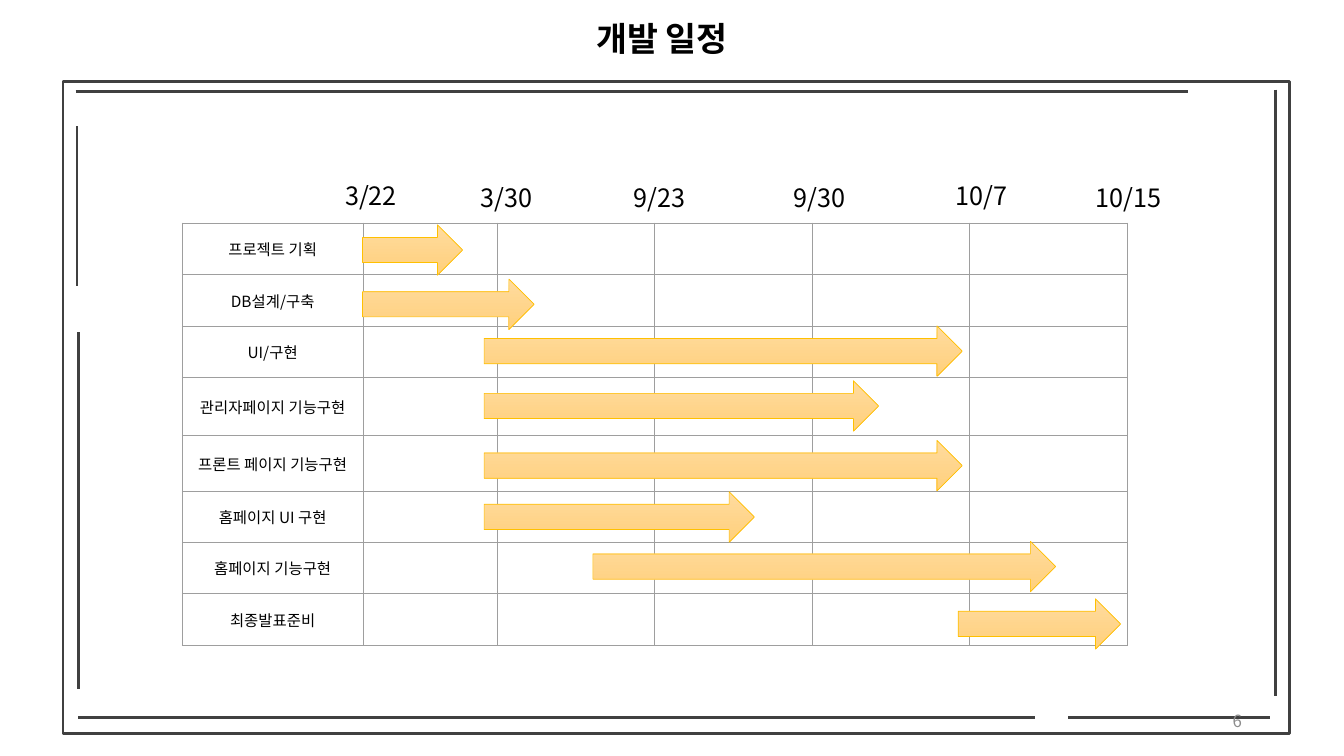
from lxml import etree
from pptx import Presentation
from pptx.dml.color import RGBColor
from pptx.enum import shapes, text
from pptx.oxml import ns
from pptx.util import Pt

FONT = "Noto Sans CJK KR"
BLACK = RGBColor(0, 0, 0)
GRAY = RGBColor(0x8C, 0x8C, 0x8C)
FRAME = RGBColor(0x40, 0x40, 0x40)
GRID = RGBColor(0x9E, 0x9E, 0x9E)
GOLD = RGBColor(0xFF, 0xC0, 0x00)
ARROW_TOP = RGBColor(0xFF, 0xDB, 0x9E)
ARROW_BOTTOM = RGBColor(0xFF, 0xD0, 0x7C)

# Content
TITLE = "개발 일정"
PAGE_NUMBER = "6"
# Date, centre, top
DATES = [
    ("3/22", 265, 125.3), ("3/30", 362, 126.7), ("9/23", 471.2, 126.7),
    ("9/30", 585.2, 126.7), ("10/7", 701, 125.3), ("10/15", 806, 126.7),
]
# Task, row height, arrow left, arrow top, arrow length
TASKS = [
    ("프로젝트 기획", 37, 259, 160.6, 71.5),
    ("DB설계/구축", 36.5, 259, 199.4, 122.5),
    ("UI/구현", 36.5, 345.8, 232.8, 341.5),
    ("관리자페이지 기능구현", 42, 345.8, 272, 281.8),
    ("프론트 페이지 기능구현", 39.5, 345.8, 314.6, 341.5),
    ("홈페이지 UI 구현", 36.5, 345.8, 351.3, 193),
    ("홈페이지 기능구현", 36.5, 423.5, 386.7, 330.5),
    ("최종발표준비", 37.5, 684.5, 427.7, 116),
]
COLUMN_WIDTHS = [129, 96] + [112.5] * 4
TABLE_LEFT, TABLE_TOP = 130.3, 159.4
ARROW_HEIGHT = 36
# Ends of the lines inside the frame: x1, y1, x2, y2
FRAME_LINES = [
    (911, 64, 911, 497.5), (55, 90, 55, 204), (56, 237.5, 56, 492.5),
    (54, 65.5, 848.3, 65.5), (56, 512.8, 739.4, 512.8), (763, 512.8, 907.5, 512.8),
]


def style_text(frame, size, color=BLACK, align=text.PP_ALIGN.CENTER, bold=False):
    para = frame.paragraphs[0]
    para.alignment = align
    for span in para.runs:
        font = span.font
        font.size, font.bold, font.name = Pt(size), bold, FONT
        font.color.rgb = color
        east_asian = etree.SubElement(span._r.get_or_add_rPr(), ns.qn("a:ea"))
        east_asian.set("typeface", FONT)


def add_label(page, wording, left, top, width, height, size, **style):
    box = page.shapes.add_textbox(Pt(left), Pt(top), Pt(width), Pt(height))
    box.text_frame.word_wrap = True
    box.text_frame.text = wording
    style_text(box.text_frame, size, **style)
    return box


def set_borders(cell, color, width):
    properties = cell._tc.get_or_add_tcPr()
    for position, side in enumerate(("lnL", "lnR", "lnT", "lnB")):
        line = etree.Element(ns.qn("a:" + side), w=str(Pt(width)))
        solid = etree.SubElement(line, ns.qn("a:solidFill"))
        etree.SubElement(solid, ns.qn("a:srgbClr"), val=str(color))
        properties.insert(position, line)


def add_frame(page):
    border = page.shapes.add_shape(
        shapes.MSO_SHAPE.RECTANGLE, Pt(45), Pt(58.3), Pt(876.3), Pt(465.8))
    border.shadow.inherit = False
    border.fill.background()
    border.line.color.rgb = FRAME
    border.line.width = Pt(2)
    for ends in FRAME_LINES:
        line = page.shapes.add_connector(
            shapes.MSO_CONNECTOR.STRAIGHT, *[Pt(end) for end in ends])
        line.line.color.rgb = FRAME
        line.line.width = Pt(2)
        etree.SubElement(line._element.spPr, ns.qn("a:effectLst"))


def add_task_table(page):
    heights = [task[1] for task in TASKS]
    table = page.shapes.add_table(
        len(TASKS), len(COLUMN_WIDTHS), Pt(TABLE_LEFT), Pt(TABLE_TOP),
        Pt(sum(COLUMN_WIDTHS)), Pt(sum(heights))).table
    table.first_row = table.horz_banding = False
    for column, width in zip(table.columns, COLUMN_WIDTHS):
        column.width = Pt(width)
    for row, task in zip(table.rows, TASKS):
        row.height = Pt(task[1])
        for cell in row.cells:
            cell.fill.background()
            set_borders(cell, GRID, 0.75)
        name = row.cells[0]
        name.text = task[0]
        name.vertical_anchor = text.MSO_ANCHOR.MIDDLE
        name.margin_left = name.margin_right = Pt(7.2)
        name.margin_top = name.margin_bottom = Pt(7.2)
        style_text(name.text_frame, 11)


def add_arrow(page, left, top, length):
    arrow = page.shapes.add_shape(
        shapes.MSO_SHAPE.RIGHT_ARROW, Pt(left), Pt(top), Pt(length), Pt(ARROW_HEIGHT))
    arrow.shadow.inherit = False
    arrow.fill.gradient()
    arrow.fill.gradient_angle = 270
    for stop, color in zip(arrow.fill.gradient_stops, (ARROW_TOP, ARROW_BOTTOM)):
        stop.color.rgb = color
    arrow.line.color.rgb = GOLD
    arrow.line.width = Pt(0.5)


def main():
    deck = Presentation()
    deck.slide_width, deck.slide_height = Pt(960), Pt(540)
    page = deck.slides.add_slide(deck.slide_layouts[5])

    # Title
    title = page.shapes.title
    title.left, title.top, title.width, title.height = Pt(240), Pt(9.4), Pt(466), Pt(36)
    title.text_frame.text = TITLE
    title.text_frame.vertical_anchor = text.MSO_ANCHOR.TOP
    style_text(title.text_frame, 24, bold=True)

    # Frame and page number
    add_frame(page)
    number = add_label(page, PAGE_NUMBER, 678.2, 500.4, 216, 28.8, 12,
                       color=GRAY, align=text.PP_ALIGN.RIGHT)
    number.text_frame.vertical_anchor = text.MSO_ANCHOR.MIDDLE

    # Schedule
    add_task_table(page)
    for date, centre, top in DATES:
        add_label(page, date, centre - 36, top, 72, 29, 18)
    for _, _, left, top, length in TASKS:
        add_arrow(page, left, top, length)

    deck.save("out.pptx")


if __name__ == "__main__":
    main()
